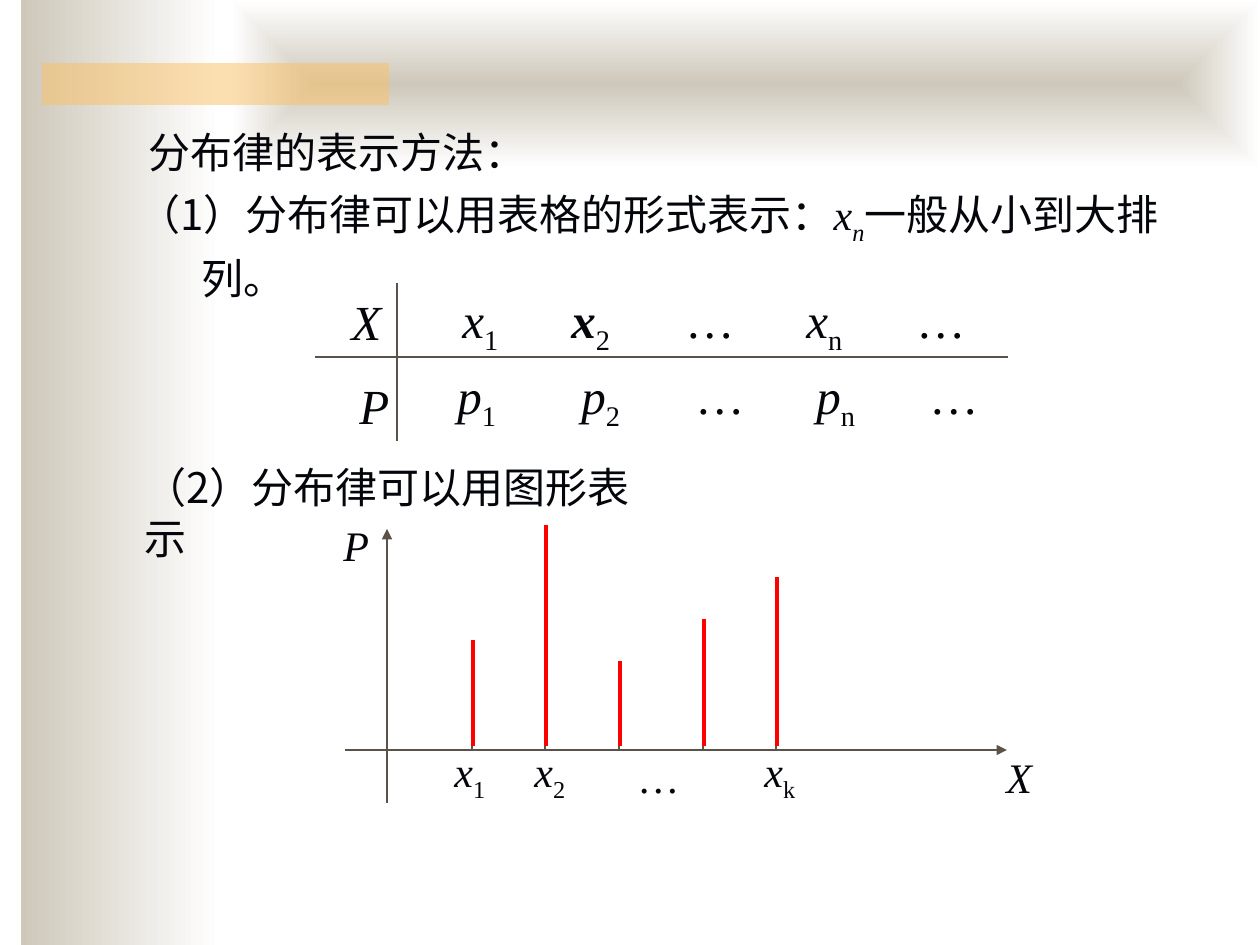
from lxml import etree
from pptx import Presentation
from pptx.dml.color import RGBColor
from pptx.enum.shapes import MSO_CONNECTOR as CONN, MSO_SHAPE as SHAPE
from pptx.oxml import parse_xml
from pptx.oxml.ns import nsdecls, qn
from pptx.util import Pt

PX = 914400 / 126
CJK, TIMES = "Noto Sans CJK SC", "Times New Roman"
INK = RGBColor(0x04, 0x06, 0x0C)
BROWN = RGBColor(0x5B, 0x52, 0x49)
RED = RGBColor(0xFF, 0, 0)
SAND = RGBColor(0xCE, 0xC8, 0xBA)
WHITE = RGBColor(0xFF, 0xFF, 0xFF)
AMBER = RGBColor(0xFA, 0xC1, 0x64)

prs = Presentation()
prs.slide_width, prs.slide_height = round(1260 * PX), round(945 * PX)
s = prs.slides.add_slide(prs.slide_layouts[6])


def add_line(x1, y1, x2, y2, color=BROWN, width=0.75, arrow=False):
    c = s.shapes.add_connector(CONN.STRAIGHT, *[round(v * PX) for v in (x1, y1, x2, y2)])
    c.line.color.rgb = color
    c.line.width = Pt(width)
    if arrow:
        etree.SubElement(c.line._ln, qn("a:tailEnd"), type="triangle")
    etree.SubElement(c._element.spPr, qn("a:effectLst"))


def add_text(x, y, w, h, runs, size=24, wrap=False, top=6, spacing=None):
    sp = s.shapes.add_textbox(*[round(v * PX) for v in (x, y, w, h)])
    tf = sp.text_frame
    tf.word_wrap = wrap
    tf.margin_top = round(top * PX)
    p = tf.paragraphs[0]
    if spacing:
        p.line_spacing = Pt(spacing)
    for text, style in runs:
        r = p.add_run()
        r.text = text
        r.font.size = Pt(size)
        r.font.color.rgb = INK
        r.font.name = CJK if "c" in style else TIMES
        r.font.italic = "i" in style
        r.font.bold = "b" in style
        rPr = r.font._element
        etree.SubElement(rPr, qn("a:ea"), typeface=r.font.name)
        if "s" in style:
            rPr.set("baseline", "-25000")
    return p


bands = []
for x, y, w, h in [(21, 0, 199, 945), (231, 0, 1029, 168), (42, 63, 347, 42)]:
    sp = s.shapes.add_shape(SHAPE.RECTANGLE, *[round(v * PX) for v in (x, y, w, h)])
    sp.shadow.inherit = False
    sp.line.fill.background()
    bands.append(sp)
side, header, accent = bands
for sp in (side, header):
    sp.fill.gradient()
    sp.fill.gradient_angle = 0
    for stop, color, pos in zip(sp.fill.gradient_stops, (SAND, WHITE), (0, 1)):
        stop.color.rgb = color
        stop.position = pos
lin = header._element.spPr.find(".//" + qn("a:lin"))
lin.getparent().replace(lin, parse_xml(
    f'<a:path {nsdecls("a")} path="shape">'
    '<a:fillToRect l="50000" t="50000" r="50000" b="50000"/></a:path>'))
accent.fill.solid()
accent.fill.fore_color.rgb = AMBER
clr = accent._element.spPr.find(".//" + qn("a:srgbClr"))
etree.SubElement(clr, qn("a:alpha"), val="50000")

p = add_text(126, 126, 1071, 231, [
    ("（1）分布律可以用表格的形式表示：", "c"), ("x", "i"), ("n", "is"),
    ("一般从小到大排列。", "c")], wrap=True, top=63, spacing=32.5)
pPr = p._p.get_or_add_pPr()
pPr.set("marL", str(round(63 * PX)))
pPr.set("indent", str(round(-63 * PX)))
add_text(132, 451, 540, 63, [("（2）分布律可以用图形表示", "c")],
         wrap=True, top=10, spacing=29)
add_text(136, 116, 472, 63, [("分布律的表示方法：", "c")], wrap=True, top=10, spacing=29)

add_line(315, 357, 1008, 357)
add_line(397, 283, 397, 441)
add_text(339, 286, 55, 72, [("X", "i")], 28)
add_text(347, 369, 55, 72, [("P", "i")], 28)
for symbol, x, y, w, second, tabs in [
        ("x", 450, 283, 585, "bi", (109, 223, 344, 454)),
        ("p", 445, 359, 553, "i", (124, 238, 359, 472))]:
    p = add_text(x, y, w, 72, [
        (symbol, "i"), ("1\t", "s"), (symbol, second), ("2", "s"), ("\t…\t", ""),
        (symbol, "i"), ("n", "s"), ("\t…", "")], 28, wrap=True)
    tab_list = etree.SubElement(p._p.get_or_add_pPr(), qn("a:tabLst"))
    for tab in tabs:
        etree.SubElement(tab_list, qn("a:tab"), pos=str(round(tab * PX)), algn="l")

add_line(345, 750, 1007, 750, arrow=True)
add_line(387, 803, 387, 529, arrow=True)
for x, top in [(472, 640), (545, 525), (619, 661), (703, 619), (776, 577)]:
    add_line(x, 750, x, top + 15)
    add_line(x + 1, top, x + 1, 746, RED, 2.25)
for x, y, runs in [
        (331, 514, [("P", "i")]), (994, 746, [("X", "i")]),
        (442, 740, [("x", "i"), ("1", "s")]),
        (522, 740, [("x", "i"), ("2", "s")]),
        (752, 740, [("x", "i"), ("k", "s")]),
        (625, 746, [("…", "")])]:
    add_text(x, y, 58, 63, runs)

prs.save("out.pptx")
